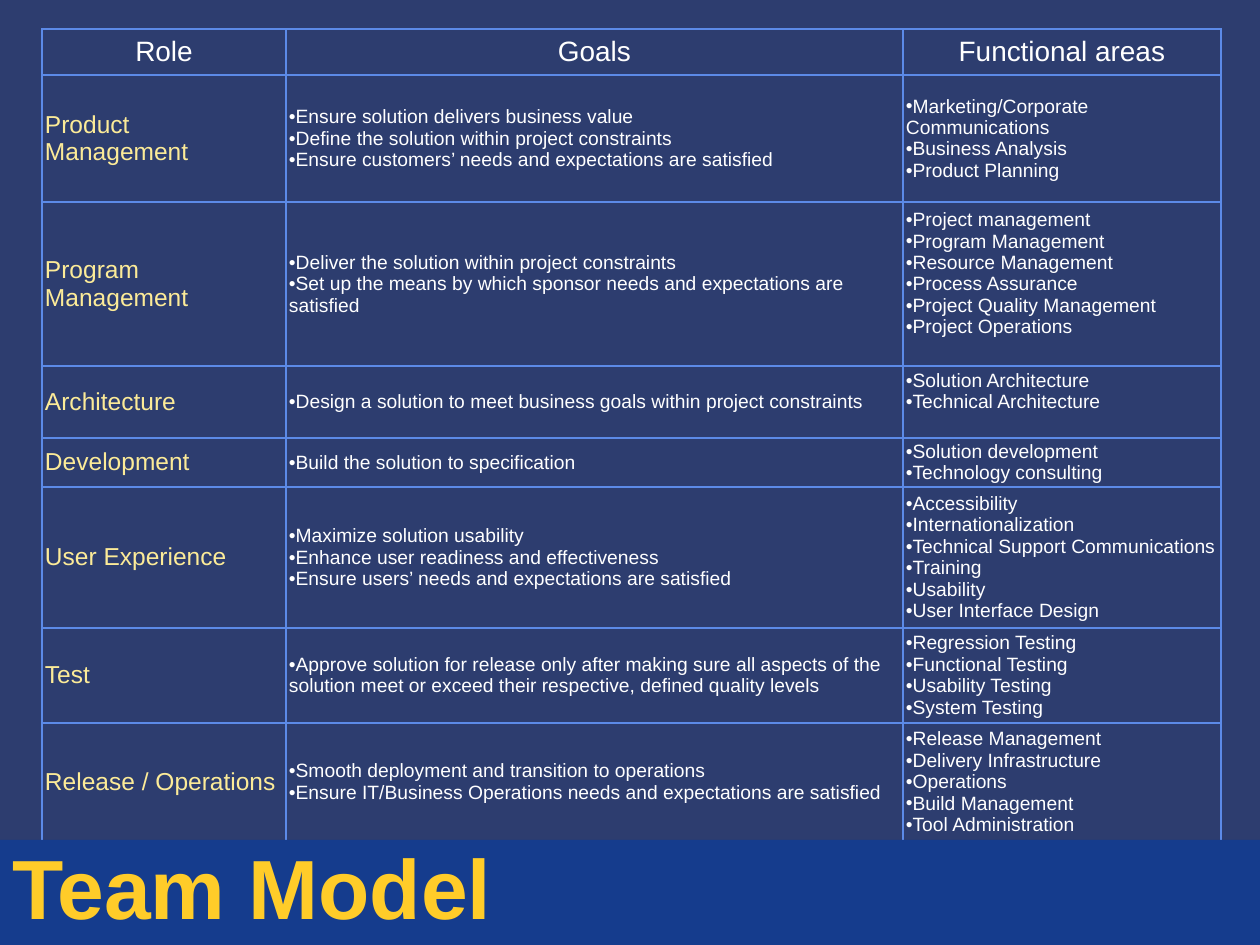
"""Build the Team Model slide: a table of roles, goals and functional areas above a title bar."""
from lxml.etree import SubElement
from pptx import Presentation
from pptx.dml.color import RGBColor
from pptx.enum.shapes import MSO_SHAPE
from pptx.enum.text import MSO_ANCHOR, PP_ALIGN
from pptx.oxml import parse_xml
from pptx.oxml.ns import nsdecls, qn
from pptx.util import Pt

BACKGROUND = RGBColor(0x2D, 0x3D, 0x6F)
BAR = RGBColor(0x15, 0x3C, 0x8D)
GOLD = RGBColor(0xFF, 0xCC, 0x29)
CREAM = RGBColor(0xFC, 0xEB, 0x98)
WHITE = RGBColor(0xFF, 0xFF, 0xFF)
BORDER = RGBColor(0x5C, 0x8A, 0xE7)

HEADERS = ["Role", "Goals", "Functional areas"]
ROLES = [
    (["Product", "Management"],
     ["Ensure solution delivers business value",
      "Define the solution within project constraints",
      "Ensure customers’ needs and expectations are satisfied"],
     ["Marketing/Corporate Communications", "Business Analysis", "Product Planning"]),
    (["Program", "Management"],
     ["Deliver the solution within project constraints",
      "Set up the means by which sponsor needs and expectations are satisfied"],
     ["Project management", "Program Management", "Resource Management",
      "Process Assurance", "Project Quality Management", "Project Operations"]),
    (["Architecture"],
     ["Design a solution to meet business goals within project constraints"],
     ["Solution Architecture", "Technical Architecture"]),
    (["Development"],
     ["Build the solution to specification"],
     ["Solution development", "Technology consulting"]),
    (["User Experience"],
     ["Maximize solution usability",
      "Enhance user readiness and effectiveness",
      "Ensure users’ needs and expectations are satisfied"],
     ["Accessibility", "Internationalization", "Technical Support Communications",
      "Training", "Usability", "User Interface Design"]),
    (["Test"],
     ["Approve solution for release only after making sure all aspects of the "
      "solution meet or exceed their respective, defined quality levels"],
     ["Regression Testing", "Functional Testing", "Usability Testing", "System Testing"]),
    (["Release / Operations"],
     ["Smooth deployment and transition to operations",
      "Ensure IT/Business Operations needs and expectations are satisfied"],
     ["Release Management", "Delivery Infrastructure", "Operations",
      "Build Management", "Tool Administration"]),
]
COLUMN_WIDTHS = [244, 617, 318]
ROW_HEIGHTS = [46, 127, 164, 72, 49, 141, 95, 118]
RAISED_CELLS = [(2, 2), (3, 2)]


def px(length):
    return round(length * 914400 / 126)


def fill_cell(cell, lines, size, color, alignment=PP_ALIGN.LEFT, bulleted=False):
    cell.vertical_anchor = MSO_ANCHOR.MIDDLE
    cell.margin_left = cell.margin_right = px(3)
    cell.margin_top = cell.margin_bottom = px(1)
    cell.text = "\n".join(lines)
    for paragraph in cell.text_frame.paragraphs:
        paragraph.alignment = alignment
        paragraph.font.name = "Arial"
        paragraph.font.size = Pt(size)
        paragraph.font.bold = False
        paragraph.font.color.rgb = color
        if bulleted:
            properties = paragraph._p.get_or_add_pPr()
            properties.set("marL", "0")
            properties.set("indent", "0")
            for tag in ('buFont typeface="Arial"', 'buChar char="•"'):
                bullet = parse_xml(f'<a:{tag} {nsdecls("a")}/>')
                properties.insert_element_before(bullet, "a:tabLst", "a:defRPr", "a:extLst")
    cell_properties = cell._tc.get_or_add_tcPr()
    for side in ("lnL", "lnR", "lnT", "lnB"):
        line = SubElement(cell_properties, qn(f"a:{side}"), w=str(Pt(1)))
        solid = SubElement(line, qn("a:solidFill"))
        SubElement(solid, qn("a:srgbClr"), val=str(BORDER))
    cell.fill.background()


presentation = Presentation()
presentation.slide_width = px(1260)
presentation.slide_height = px(945)
slide = presentation.slides.add_slide(presentation.slide_layouts[6])
slide.background.fill.solid()
slide.background.fill.fore_color.rgb = BACKGROUND

table = slide.shapes.add_table(
    len(ROW_HEIGHTS), len(COLUMN_WIDTHS),
    px(42), px(29), px(sum(COLUMN_WIDTHS)), px(sum(ROW_HEIGHTS))).table
table.first_row = False
table.horz_banding = False
for column, width in zip(table.columns, COLUMN_WIDTHS):
    column.width = px(width)
for row, height in zip(table.rows, ROW_HEIGHTS):
    row.height = px(height)

for column_index, header in enumerate(HEADERS):
    fill_cell(table.cell(0, column_index), [header], 16, WHITE, PP_ALIGN.CENTER)
for row_index, (role, goals, areas) in enumerate(ROLES, start=1):
    fill_cell(table.cell(row_index, 0), role, 14, CREAM)
    fill_cell(table.cell(row_index, 1), goals, 11, WHITE, bulleted=True)
    fill_cell(table.cell(row_index, 2), areas, 11, WHITE, bulleted=True)
for row_index, column_index in RAISED_CELLS:
    table.cell(row_index, column_index).margin_bottom = px(22)

title_bar = slide.shapes.add_shape(MSO_SHAPE.RECTANGLE, 0, px(840), px(1260), px(105))
title_bar.shadow.inherit = False
title_bar.fill.solid()
title_bar.fill.fore_color.rgb = BAR
title_bar.line.fill.background()
title_bar.text_frame.word_wrap = True
title_bar.text_frame.vertical_anchor = MSO_ANCHOR.MIDDLE
paragraph = title_bar.text_frame.paragraphs[0]
paragraph.text = "Team Model"
paragraph.alignment = PP_ALIGN.LEFT
paragraph.line_spacing = 0.9
paragraph.font.name = "Arial"
paragraph.font.size = Pt(48)
paragraph.font.bold = True
paragraph.font.color.rgb = GOLD

presentation.save("out.pptx")
